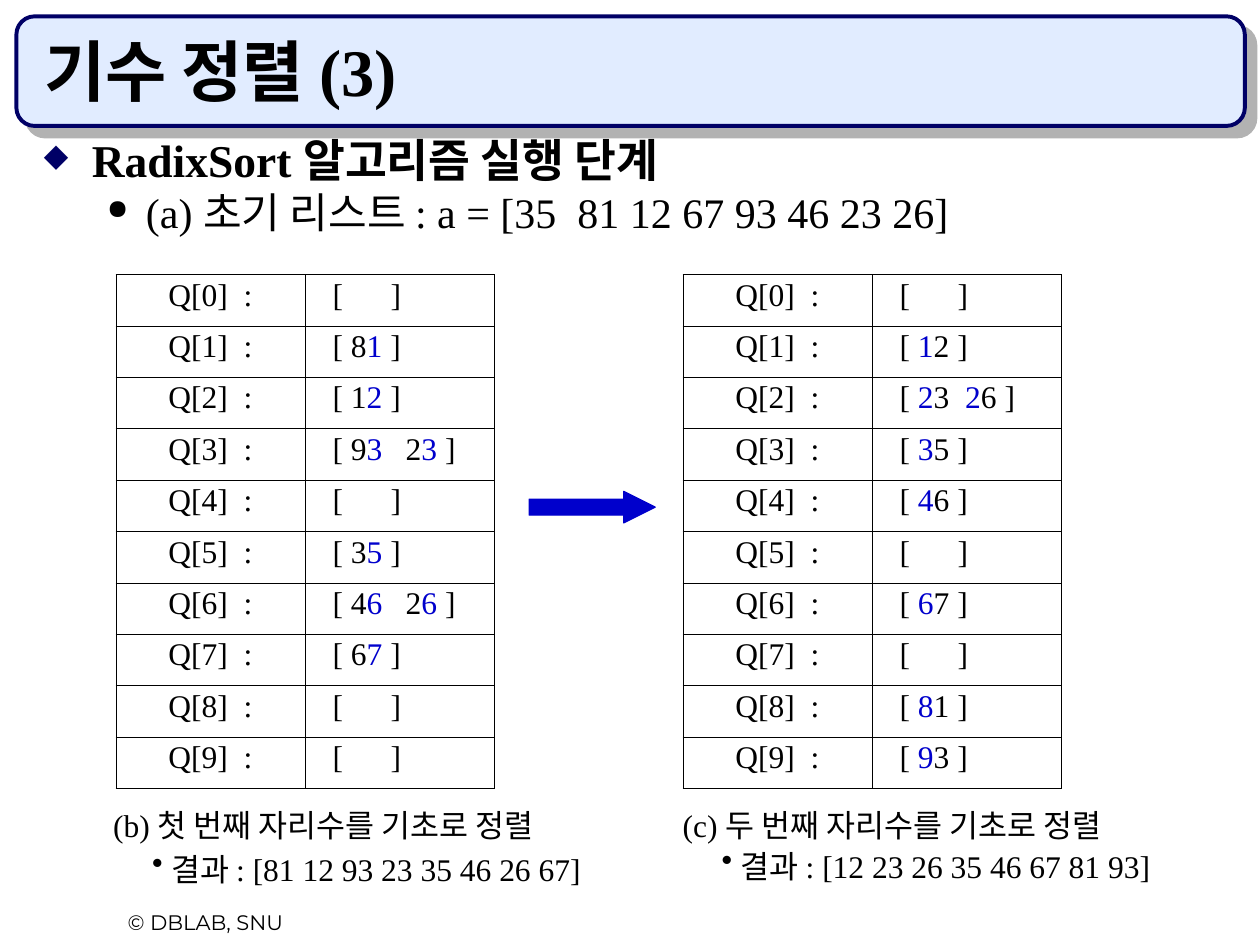
from dataclasses import dataclass

from lxml import etree
from pptx import Presentation
from pptx.dml.color import RGBColor
from pptx.enum import shapes, text
from pptx.oxml import ns
from pptx.util import Inches, Pt


@dataclass(frozen=True)
class Theme:
    font: str = "Times New Roman"
    footer_font: str = "Montserrat"
    ink: str = "000000"
    accent: str = "0000CC"
    navy: str = "000066"
    panel: str = "E1ECFF"
    shadow: str = "B2B2B2"
    title: int = 38
    heading: int = 26
    item: int = 24
    body: int = 18
    footer: int = 12


THEME = Theme()
NUMBERS = [35, 81, 12, 67, 93, 46, 23, 26]


def rgb(value):
    return RGBColor.from_string(value)


def add_child(parent, tag, **attributes):
    child = etree.SubElement(parent, ns.qn(tag))
    for name, value in attributes.items():
        child.set(name, str(value))
    return child


def add_color(parent, color):
    add_child(add_child(parent, "a:solidFill"), "a:srgbClr", val=color)


def write(paragraph, content, size=THEME.body, font=THEME.font, color=THEME.ink,
          bold=False, align=None, spacing=None, before=0, bullet=None, tab=None):
    """Write a string, or (text, color) pairs; bullet is (char, left, hang, color, percent)."""
    properties = paragraph._p.get_or_add_pPr()
    if bullet:
        character, left, hang, bullet_color, percent = bullet
        properties.set("marL", str(Inches(left)))
        properties.set("indent", str(-Inches(hang)))
        add_child(add_child(properties, "a:buClr"), "a:srgbClr", val=bullet_color)
        add_child(properties, "a:buSzPct", val=percent * 1000)
        add_child(properties, "a:buChar", char=character)
    if tab:
        add_child(add_child(properties, "a:tabLst"), "a:tab", pos=Inches(tab), algn="l")
    paragraph.alignment = align
    paragraph.line_spacing = spacing
    paragraph.space_before = Pt(before)
    pieces = [(content, color)] if isinstance(content, str) else content
    for piece, piece_color in pieces:
        run = paragraph.add_run()
        run.text = piece
        run.font.size, run.font.name, run.font.bold = Pt(size), font, bold
        run.font.color.rgb = rgb(piece_color)


def add_text_box(slide, box):
    frame = slide.shapes.add_textbox(*map(Inches, box)).text_frame
    frame.word_wrap = True
    return frame


def add_title(slide, box, content):
    left, top, width, height = box
    panel = slide.shapes.add_shape(shapes.MSO_SHAPE.ROUNDED_RECTANGLE, *map(Inches, box))
    panel.fill.solid()
    panel.fill.fore_color.rgb = rgb(THEME.panel)
    panel.line.color.rgb = rgb(THEME.navy)
    panel.line.width = Pt(2.25)
    effects = add_child(panel._element.spPr, "a:effectLst")
    shadow = add_child(effects, "a:outerShdw", dist=Pt(8.5), dir=45 * 60000,
                       algn="ctr", rotWithShape=0)
    add_child(shadow, "a:srgbClr", val=THEME.shadow)

    title = slide.shapes.title
    title._element.addprevious(panel._element)
    title.left, title.top = Inches(left + 0.12), Inches(top + 0.12)
    title.width, title.height = Inches(width - 0.33), Inches(height - 0.2)
    frame = title.text_frame
    frame.auto_size = text.MSO_AUTO_SIZE.NONE
    frame.vertical_anchor = text.MSO_ANCHOR.BOTTOM
    write(frame.paragraphs[0], content, size=THEME.title, bold=True,
          align=text.PP_ALIGN.LEFT)


def add_outline(slide, box):
    frame = add_text_box(slide, box)
    write(frame.paragraphs[0], "RadixSort 알고리즘 실행 단계", size=THEME.heading,
          bold=True, spacing=0.8, bullet=("◆", 0.38, 0.38, THEME.navy, 70))
    write(frame.add_paragraph(),
          "(a) 초기 리스트 : a = [35  81 12 67 93 46 23 26]", size=THEME.item,
          spacing=0.8, before=6, bullet=("●", 0.81, 0.31, THEME.ink, 65))


def distribute(numbers, digit):
    """Put each number in the queue of its tens (0) or units (1) digit."""
    queues = [[] for _ in range(10)]
    for number in numbers:
        queues[int(str(number)[digit])].append(number)
    return queues


def queue_pieces(queue, digit):
    """Text pieces of one queue, with the sorting digit in the accent colour."""
    if not queue:
        return [("[\t]", THEME.ink)]
    pieces = [("[ ", THEME.ink)]
    for index, number in enumerate(queue):
        if index:
            pieces.append(("\t", THEME.ink))
        pieces += [(figure, THEME.accent if place == digit else THEME.ink)
                   for place, figure in enumerate(str(number))]
    return pieces + [(" ]", THEME.ink)]


def format_cell(cell):
    properties = cell._tc.get_or_add_tcPr()
    for side in ("a:lnL", "a:lnR", "a:lnT", "a:lnB"):
        add_color(add_child(properties, side, w=Pt(0.45)), THEME.ink)
    cell.fill.background()


def add_queue_table(slide, box, queues, digit, pair_tab):
    table = slide.shapes.add_table(len(queues), 2, *map(Inches, box)).table
    table.first_row = table.horz_banding = False
    for index, queue in enumerate(queues):
        label, content = table.cell(index, 0), table.cell(index, 1)
        format_cell(label)
        format_cell(content)
        content.margin_left = Inches(0.22)
        write(label.text_frame.paragraphs[0], f"Q[{index}]  :", spacing=0.9,
              align=text.PP_ALIGN.CENTER)
        write(content.text_frame.paragraphs[0], queue_pieces(queue, digit),
              spacing=0.9, tab=pair_tab if queue else 0.46)


def add_caption(slide, box, heading, numbers, spacing):
    frame = add_text_box(slide, box)
    write(frame.paragraphs[0], heading)
    write(frame.add_paragraph(), f"결과 : [{' '.join(map(str, numbers))}]",
          spacing=spacing, before=11.2, bullet=("•", 0.46, 0.15, THEME.ink, 100))


def add_arrow(slide, box):
    arrow = slide.shapes.add_shape(shapes.MSO_SHAPE.RIGHT_ARROW, *map(Inches, box))
    arrow.adjustments[0], arrow.adjustments[1] = 0.5, 1
    arrow.shadow.inherit = False
    arrow.fill.solid()
    arrow.fill.fore_color.rgb = arrow.line.color.rgb = rgb(THEME.accent)
    arrow.line.width = Pt(0.75)


def add_footer(slide, box):
    write(add_text_box(slide, box).paragraphs[0], "© DBLAB, SNU", size=THEME.footer,
          font=THEME.footer_font, align=text.PP_ALIGN.CENTER)


def main():
    presentation = Presentation()
    presentation.slide_width, presentation.slide_height = Inches(10), Inches(7.5)
    slide = presentation.slides.add_slide(presentation.slide_layouts[5])
    add_title(slide, (0.13, 0.13, 9.75, 0.87), "기수 정렬 (3)")
    add_footer(slide, (0.42, 7.17, 2.42, 0.3))
    add_outline(slide, (0.25, 1.08, 9.42, 1))

    numbers = NUMBERS
    passes = (
        (0.92, 1, 0.58, (0.8, 6.35, 4.25, 0.74), "(b) 첫 번째 자리수를 기초로 정렬", 0.6),
        (5.42, 0, 0.52, (5.32, 6.35, 4.3, 0.71), "(c) 두 번째 자리수를 기초로 정렬", 0.5),
    )
    for left, digit, pair_tab, caption_box, heading, spacing in passes:
        queues = distribute(numbers, digit)
        numbers = sum(queues, [])
        add_queue_table(slide, (left, 2.18, 3, 4.08), queues, digit, pair_tab)
        add_caption(slide, caption_box, heading, numbers, spacing)
    add_arrow(slide, (4.2, 3.9, 1, 0.25))
    presentation.save("out.pptx")


if __name__ == "__main__":
    main()
